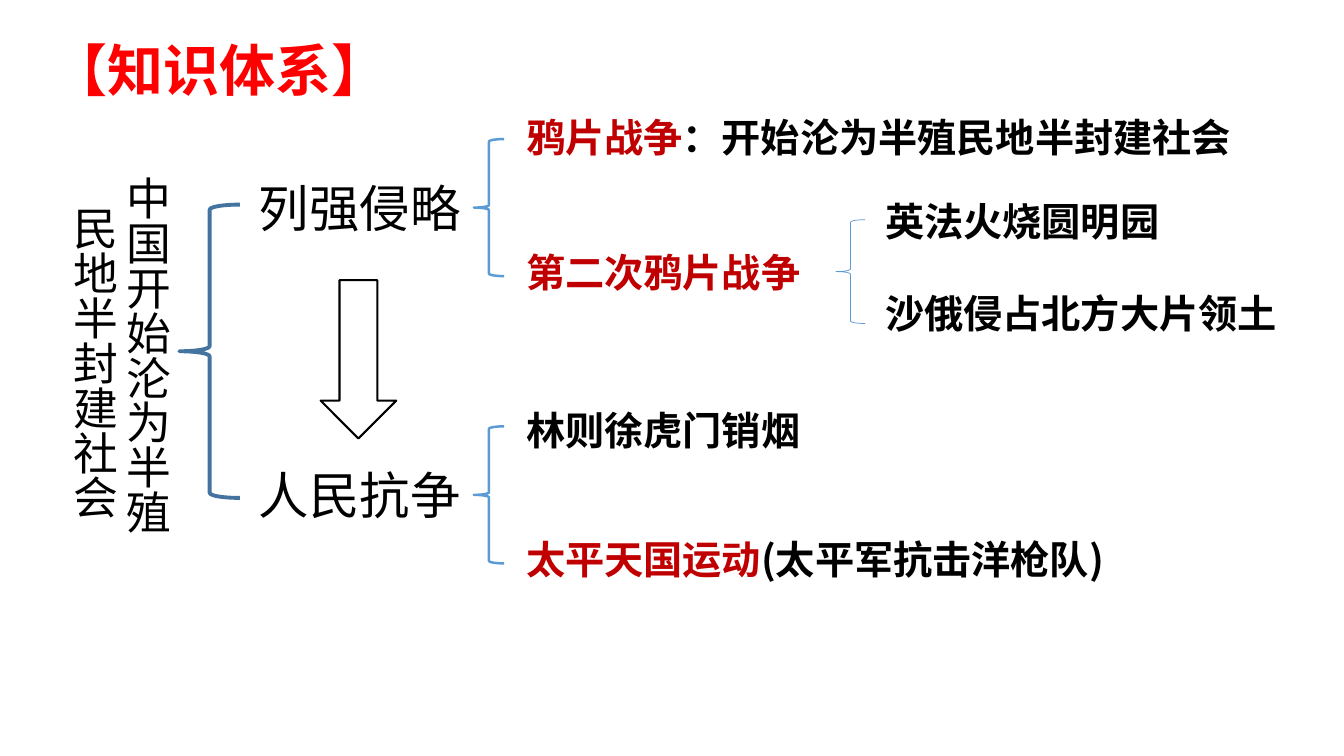
from lxml import etree
from pptx import Presentation
from pptx.dml.color import RGBColor
from pptx.enum.shapes import MSO_SHAPE as Shape
from pptx.enum.text import MSO_AUTO_SIZE as AutoSize
from pptx.oxml.ns import qn
from pptx.util import Inches, Pt

CJK = "Noto Sans CJK SC"
BLACK, RED, DARK_RED = "000000", "FF0000", "C00000"
BLUE, DARK_BLUE = "5B9BD5", "43739E"
ROW_HEIGHT = 0.57
STAGE_HEIGHT = 0.71
DETAIL = {"size": Pt(28), "name": CJK, "bold": True}
STAGE = {"size": Pt(36), "name": "Calibri"}
CONCLUSION = {"size": Pt(32), "name": "Calibri"}
TITLE = {"size": Pt(40), "name": CJK, "bold": True}


def color(hex_text):
    return RGBColor.from_string(hex_text)


def add_text(slide, box, paragraphs, font_format):
    """Place a text box; each paragraph is a list of (text, colour) runs."""
    shape = slide.shapes.add_textbox(*map(Inches, box))
    frame = shape.text_frame
    frame.word_wrap = True
    frame.auto_size = AutoSize.SHAPE_TO_FIT_TEXT
    for index, runs in enumerate(paragraphs):
        paragraph = frame.add_paragraph() if index else frame.paragraphs[0]
        for text, hex_text in runs:
            run = paragraph.add_run()
            run.text = text
            for key, value in font_format.items():
                setattr(run.font, key, value)
            run.font.color.rgb = color(hex_text)
            east_asian = etree.SubElement(run.font._element, qn("a:ea"))
            east_asian.set("typeface", CJK)
    return frame


def add_outline(slide, kind, box, hex_text, width):
    shape = slide.shapes.add_shape(kind, *map(Inches, box))
    shape.shadow.inherit = False
    shape.fill.background()
    shape.line.color.rgb = color(hex_text)
    shape.line.width = Pt(width)


def add_title(slide, box):
    frame = add_text(slide, box, [[("【知识体系】", RED)]], TITLE)
    frame.margin_left = Inches(0.17)
    frame.margin_right = Inches(0.05)
    frame.paragraphs[0].line_spacing = 1.1


def add_conclusion(slide, box):
    """Place the vertical heading and the brace to its right."""
    left, top, width, height = box
    frame = add_text(slide, box, [[("中国开始沦为半殖", BLACK)],
                                  [("民地半封建社会", BLACK)]], CONCLUSION)
    frame._txBody.bodyPr.set("vert", "eaVert")
    indented = frame.paragraphs[1]._p.get_or_add_pPr()
    indented.set("marL", str(Inches(0.3)))
    indented.set("indent", "0")
    add_outline(slide, Shape.LEFT_BRACE,
                (left + width, top + 0.38, 0.6, 2.91), DARK_BLUE, 2.75)


def add_branch(slide, box, stage, details):
    """Place a stage, its brace and the (top offset, width, runs) details."""
    left, top, width, height = box
    add_text(slide, (left, top + 0.33, width, STAGE_HEIGHT),
             [[(stage, BLACK)]], STAGE)
    add_outline(slide, Shape.LEFT_BRACE,
                (left + 2.23, top, 0.3, height), BLUE, 1.75)
    for offset, detail_width, runs in details:
        add_text(slide, (left + 2.65, top + offset, detail_width, ROW_HEIGHT),
                 [runs], DETAIL)


def add_war_results(slide, box):
    left, top, width, height = box
    add_outline(slide, Shape.LEFT_BRACE,
                (left, top + 0.27, 0.29, 1.03), BLUE, 0.5)
    for row, (text, text_width) in enumerate(
            [("英法火烧圆明园", 3.25), ("沙俄侵占北方大片领土", 4.28)]):
        row_top = top + row * (height - ROW_HEIGHT)
        add_text(slide, (left + 0.39, row_top, text_width, ROW_HEIGHT),
                 [[(text, BLACK)]], DETAIL)


def main():
    presentation = Presentation()
    presentation.slide_width = Inches(13.33)
    presentation.slide_height = Inches(7.5)
    slide = presentation.slides.add_slide(presentation.slide_layouts[6])

    add_title(slide, (0.34, 0.24, 3.71, 0.84))
    add_conclusion(slide, (0.5, 1.65, 1.28, 3.84))
    add_branch(slide, (2.47, 1.38, 2.37, 1.36), "列强侵略", [
        (-0.3, 7.37, [("鸦片战争", DARK_RED),
                      ("：开始沦为半殖民地半封建社会", BLACK)]),
        (1.03, 3.25, [("第二次鸦片战争", DARK_RED)]),
    ])
    add_war_results(slide, (8.29, 1.91, 4.67, 1.48))
    add_branch(slide, (2.47, 4.23, 2.37, 1.36), "人民抗争", [
        (-0.25, 3.25, [("林则徐虎门销烟", BLACK)]),
        (1.03, 6.25, [("太平天国运动", DARK_RED),
                      ("(太平军抗击洋枪队)", BLACK)]),
    ])
    add_outline(slide, Shape.DOWN_ARROW, (3.18, 2.78, 0.75, 1.57), BLACK, 1.5)
    presentation.save("out.pptx")


if __name__ == "__main__":
    main()
